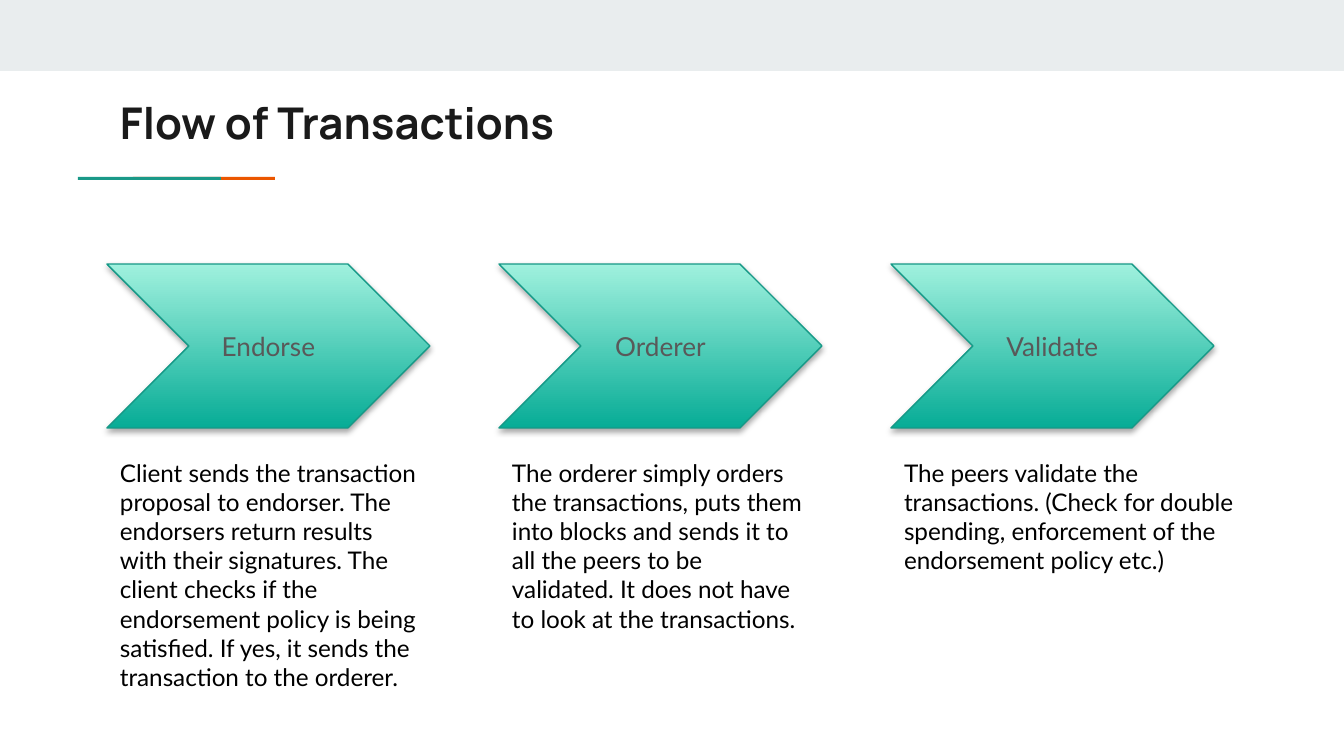
from dataclasses import dataclass

import pptx
import pptx.dml.color
import pptx.enum.shapes
import pptx.enum.text
import pptx.oxml
import pptx.oxml.ns
import pptx.util
from pptx.dml.color import RGBColor

EMU_PER_PX = 914400 / 134.4

BAND = RGBColor(0xE9, 0xED, 0xEE)
ORANGE = RGBColor(0xEB, 0x56, 0x00)
TEAL = RGBColor(0x1A, 0x99, 0x88)
OUTLINE = RGBColor(0x16, 0x99, 0x87)
GRADIENT_BOTTOM = RGBColor(0x07, 0xAC, 0x96)
GRADIENT_TOP = RGBColor(0xA0, 0xF1, 0xDE)
LABEL = RGBColor(0x59, 0x59, 0x59)
BODY = RGBColor(0x00, 0x00, 0x00)
TITLE = RGBColor(0x1A, 0x1A, 0x1A)

STEP_LEFT, STEP_PITCH, STEP_WIDTH = 107, 392, 323
INSET = 13

SHADOW = (
    f'<a:outerShdw {pptx.oxml.ns.nsdecls("a")} blurRad="40000" dist="23000" '
    'dir="5400000" rotWithShape="0"><a:srgbClr val="000000">'
    '<a:alpha val="35000"/></a:srgbClr></a:outerShdw>'
)


@dataclass
class Step:
    label: str
    description: str
    text_width: int = STEP_WIDTH


@dataclass
class TextStyle:
    font: str
    size: float
    color: RGBColor
    bold: bool = False
    align: pptx.enum.text.PP_ALIGN = pptx.enum.text.PP_ALIGN.LEFT
    anchor: pptx.enum.text.MSO_ANCHOR = pptx.enum.text.MSO_ANCHOR.TOP


TITLE_STYLE = TextStyle("Manrope", 23.4, TITLE, bold=True)
BODY_STYLE = TextStyle("Lato", 13, BODY)
LABEL_STYLE = TextStyle("Lato", 14, LABEL, align=pptx.enum.text.PP_ALIGN.CENTER,
                        anchor=pptx.enum.text.MSO_ANCHOR.MIDDLE)

STEPS = [
    Step("Endorse",
         "Client sends the transaction proposal to endorser. The endorsers return "
         "results with their signatures. The client checks if the endorsement policy "
         "is being satisfied. If yes, it sends the transaction to the orderer."),
    Step("Orderer",
         "The orderer simply orders the transactions, puts them into blocks and sends "
         "it to all the peers to be validated. It does not have to look at the "
         "transactions."),
    Step("Validate",
         "The peers validate the transactions. (Check for double spending, "
         "enforcement of the endorsement policy etc.)", 364),
]


def px(length: int) -> pptx.util.Emu:
    return pptx.util.Emu(round(length * EMU_PER_PX))


def write(shape, text: str, style: TextStyle) -> None:
    frame = shape.text_frame
    frame.word_wrap = True
    frame.vertical_anchor = style.anchor
    frame.margin_left = frame.margin_right = px(INSET)
    frame.margin_top = frame.margin_bottom = px(INSET)
    para = frame.paragraphs[0]
    para.alignment = style.align
    span = para.add_run()
    span.text = text
    span.font.name = style.font
    span.font.size = pptx.util.Pt(style.size)
    span.font.bold = style.bold
    span.font.color.rgb = style.color


def add_text(page, left: int, top: int, width: int, height: int,
             text: str, style: TextStyle) -> None:
    box = page.shapes.add_textbox(px(left), px(top), px(width), px(height))
    write(box, text, style)


def add_bar(page, left: int, top: int, width: int, height: int,
            color: RGBColor) -> None:
    bar = page.shapes.add_shape(pptx.enum.shapes.MSO_SHAPE.RECTANGLE,
                                px(left), px(top), px(width), px(height))
    bar.shadow.inherit = False
    bar.fill.solid()
    bar.fill.fore_color.rgb = color
    bar.line.fill.background()


def add_chevron(page, left: int, label: str) -> None:
    chevron = page.shapes.add_shape(pptx.enum.shapes.MSO_SHAPE.CHEVRON,
                                    px(left), px(264), px(STEP_WIDTH), px(164))
    chevron.adjustments[0] = 0.5
    chevron.fill.gradient()
    chevron.fill.gradient_angle = 90
    for stop, color in zip(chevron.fill.gradient_stops,
                           (GRADIENT_BOTTOM, GRADIENT_TOP)):
        stop.color.rgb = color
    chevron.line.color.rgb = OUTLINE
    chevron.line.width = pptx.util.Pt(0.75)
    # Replace the theme shadow with a soft one straight below
    chevron.shadow.inherit = False
    effects = chevron._element.spPr.find(pptx.oxml.ns.qn("a:effectLst"))
    effects.append(pptx.oxml.parse_xml(SHADOW))
    write(chevron, label, LABEL_STYLE)


def main() -> None:
    deck = pptx.Presentation()
    deck.slide_width, deck.slide_height = px(1344), px(756)
    page = deck.slides.add_slide(deck.slide_layouts[6])

    # Top band and two-colour accent rule
    add_bar(page, 0, 0, 1344, 71, BAND)
    add_bar(page, 133, 177, 142, 3, ORANGE)
    add_bar(page, 78, 177, 143, 3, TEAL)

    # Title
    add_text(page, 107, 83, 1130, 79, "Flow of Transactions", TITLE_STYLE)

    # Process steps, each with its description below
    for index, step in enumerate(STEPS):
        left = STEP_LEFT + index * STEP_PITCH
        add_chevron(page, left, step.label)
        add_text(page, left, 445, step.text_width, 280, step.description, BODY_STYLE)

    deck.save("out.pptx")


if __name__ == "__main__":
    main()
